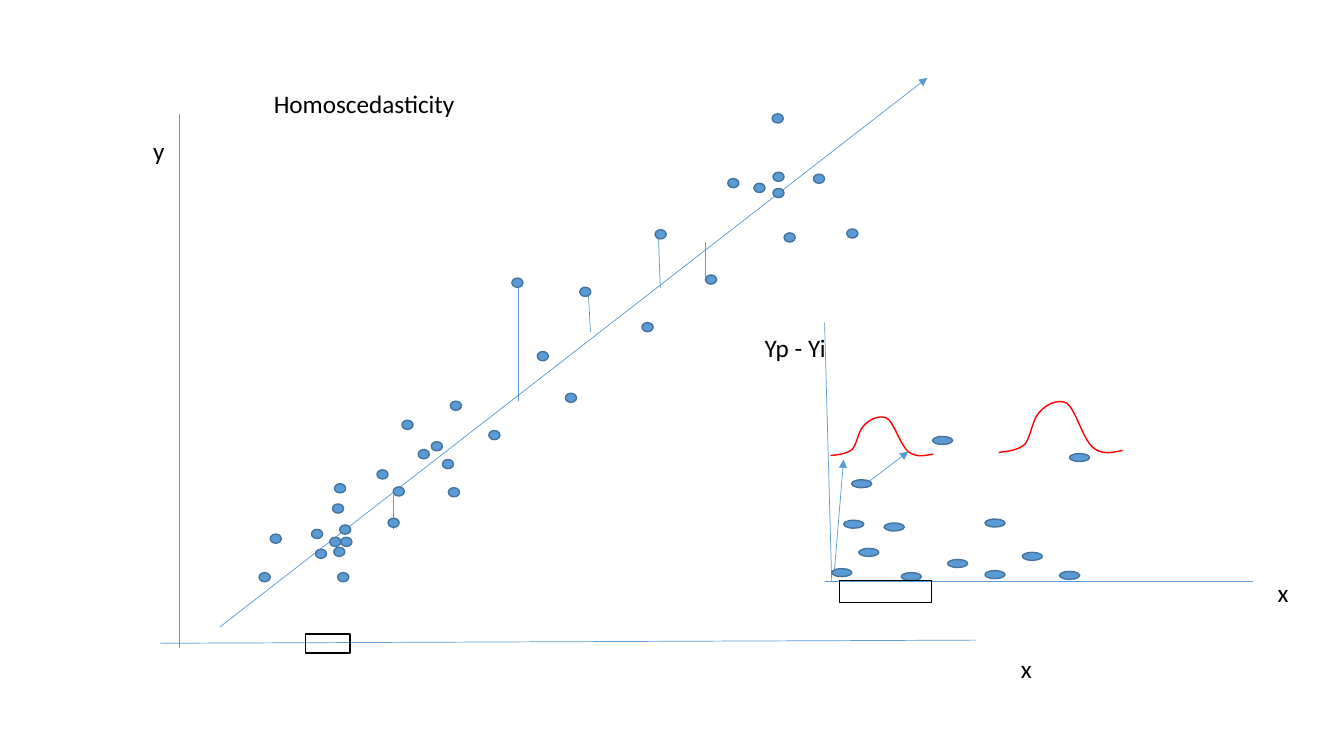
from pptx import Presentation
from pptx.dml.color import RGBColor
from pptx.enum.shapes import MSO_CONNECTOR as Link, MSO_SHAPE as Shape
from pptx.enum.text import MSO_AUTO_SIZE as Fit
from pptx.oxml.ns import qn
from pptx.util import Cm, Pt
from lxml.etree import SubElement as sub

BLUE = RGBColor(0x5B, 0x9B, 0xD5)
EDGE = RGBColor(0x43, 0x73, 0x9E)
RED = RGBColor(0xFF, 0, 0)
BLACK = RGBColor(0, 0, 0)

# Dot positions (left, top) in cm
SAMPLES = [
    (6.53, 14.43), (6.81, 13.46), (8.56, 13.23), (9.5, 11.84),
    (11.35, 10.11), (10.87, 11.13), (12.32, 10.85), (13.54, 8.86),
    (14.61, 7.24), (16.18, 8.13), (8.51, 14.43), (12.9, 7.01),
    (17.78, 6.93), (18.34, 4.5), (19.46, 2.87), (16.51, 5.79),
    (19.76, 5.87), (14.25, 9.91), (20.5, 4.39), (21.34, 5.77),
    (8.41, 13.79), (7.95, 13.84), (8.31, 13.54), (8.43, 12.19),
    (8.59, 13.54), (7.85, 13.34), (8.38, 12.7), (19.48, 4.75),
    (19.48, 4.34), (19, 4.62), (11.15, 11.58), (10.54, 11.33),
    (11.3, 12.29), (10.13, 10.59), (9.91, 12.27), (9.78, 13.06),
]
ERRORS = [
    (20.96, 14.33), (21.64, 13.82), (22.71, 14.43), (23.88, 14.1),
    (24.82, 14.38), (25.76, 13.92), (26.7, 14.4), (21.46, 12.09),
    (23.5, 11), (24.82, 13.08), (26.95, 11.43), (21.26, 13.11),
    (22.28, 13.18),
]

# Lines as (x1, y1, x2, y2) in cm
AXES = [
    (4.52, 2.87, 4.52, 16.33), (4.04, 16.21, 24.59, 16.13),
    (20.78, 8.13, 20.96, 14.66), (20.78, 14.66, 31.57, 14.66),
]
GAPS = [
    (17.78, 6.99, 17.78, 6.1), (13.06, 10.11, 13.06, 7.09),
    (14.83, 7.44, 14.88, 8.36), (16.59, 5.87, 16.64, 7.26),
    (9.91, 13.34, 9.91, 12.47),
]
ARROWS = [
    (5.54, 15.8, 23.37, 1.96), (21.89, 12.14, 22.89, 11.38),
    (21.03, 14.35, 21.26, 11.58),
]
LABELS = [
    ("Homoscedasticity", 6.65, 2.11, 5.11), ("y", 3.61, 3.28, 0.81),
    ("x", 25.48, 16.33, 0.79), ("Yp - Yi", 19.02, 8.26, 2.08),
    ("x", 31.95, 14.43, 0.79),
]

# Bell outline: cubic knots and handles as shares of width and height
BELL = [
    (0, 0), (0.07, 0.02), (0.15, 0.04), (0.21, 0.16),
    (0.26, 0.31), (0.27, 0.67), (0.33, 0.82),
    (0.38, 0.96), (0.47, 1.1), (0.55, 1),
    (0.62, 0.88), (0.68, 0.27), (0.76, 0.1),
    (0.84, -0.06), (0.92, 0), (1, 0.04),
]
STEPS = 10


def add_line(shapes, ends, arrow=False):
    line = shapes.add_connector(Link.STRAIGHT, *map(Cm, ends))
    line.line.color.rgb = BLUE
    line.line.width = Pt(0.5)
    props = line._element.spPr
    if arrow:
        sub(props.find(qn("a:ln")), qn("a:tailEnd"), type="triangle")
    sub(props, qn("a:effectLst"))


def add_mark(shapes, kind, box, edge, fill=None):
    mark = shapes.add_shape(kind, *map(Cm, box))
    mark.shadow.inherit = False
    if fill is None:
        mark.fill.background()
    else:
        mark.fill.solid()
        mark.fill.fore_color.rgb = fill
    mark.line.color.rgb = edge
    mark.line.width = Pt(1)


def add_dots(shapes, spots, wide, high):
    for left, top in spots:
        add_mark(shapes, Shape.OVAL, (left, top, wide, high), EDGE, BLUE)


def add_label(shapes, text, left, top, wide):
    box = shapes.add_textbox(Cm(left), Cm(top), Cm(wide), Cm(1.03))
    frame = box.text_frame
    frame.word_wrap = False
    frame.auto_size = Fit.SHAPE_TO_FIT_TEXT
    para = frame.paragraphs[0]
    para.text = text
    para.font.name = "Calibri"
    para.font.size = Pt(18)
    para.font.color.rgb = BLACK


def blend(knots, t):
    """Point at share t of one cubic curve."""
    s = 1 - t
    parts = (s ** 3, 3 * s * s * t, 3 * s * t * t, t ** 3)
    return [sum(p * k[axis] for p, k in zip(parts, knots)) for axis in (0, 1)]


def add_bell(shapes, left, base, wide, high):
    points = []
    for start in range(0, len(BELL) - 1, 3):
        for step in range(1, STEPS + 1):
            x, y = blend(BELL[start:start + 4], step / STEPS)
            points.append((Cm(left + x * wide), Cm(base - y * high)))
    path = shapes.build_freeform(Cm(left), Cm(base))
    path.add_line_segments(points, close=False)
    bell = path.convert_to_shape()
    bell.shadow.inherit = False
    bell.fill.background()
    bell.line.color.rgb = RED
    bell.line.width = Pt(1)


def main():
    deck = Presentation()
    deck.slide_width, deck.slide_height = Cm(33.87), Cm(19.05)
    shapes = deck.slides.add_slide(deck.slide_layouts[6]).shapes

    # Axes, gaps to the fitted line, and arrows
    for ends in AXES + GAPS:
        add_line(shapes, ends)
    for ends in ARROWS:
        add_line(shapes, ends, arrow=True)

    # Scatter and residual dots
    add_dots(shapes, SAMPLES, 0.28, 0.23)
    add_dots(shapes, ERRORS, 0.51, 0.2)

    # Frames on the x axes
    for box in ((7.7, 15.98, 1.12, 0.48), (21.16, 14.63, 2.31, 0.56)):
        add_mark(shapes, Shape.RECTANGLE, box, BLACK)

    # Error distributions
    add_bell(shapes, 20.93, 11.48, 2.59, 0.94)
    add_bell(shapes, 25.17, 11.4, 3.12, 1.24)

    # Title and axis names
    for label in LABELS:
        add_label(shapes, *label)

    deck.save("out.pptx")


if __name__ == "__main__":
    main()
